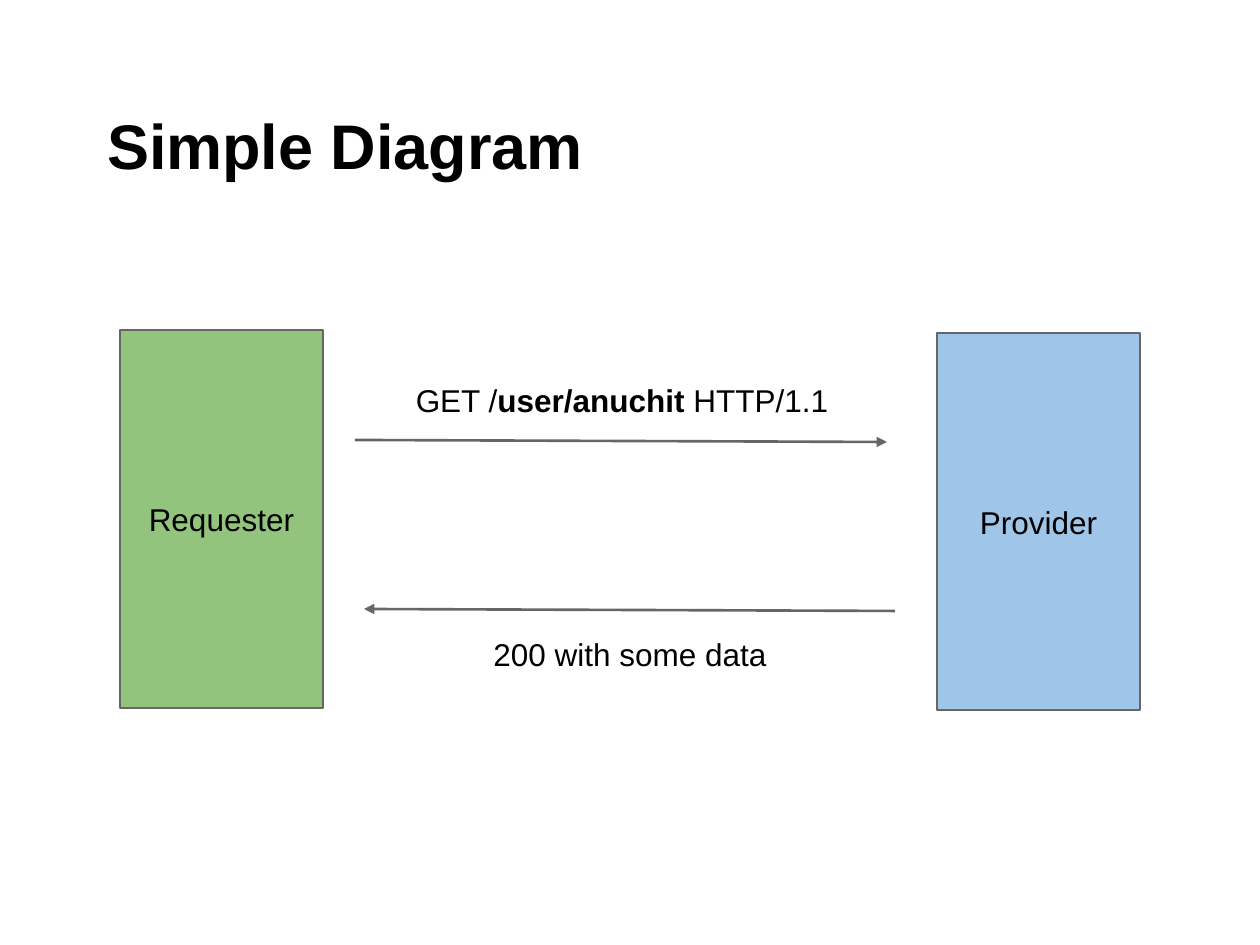
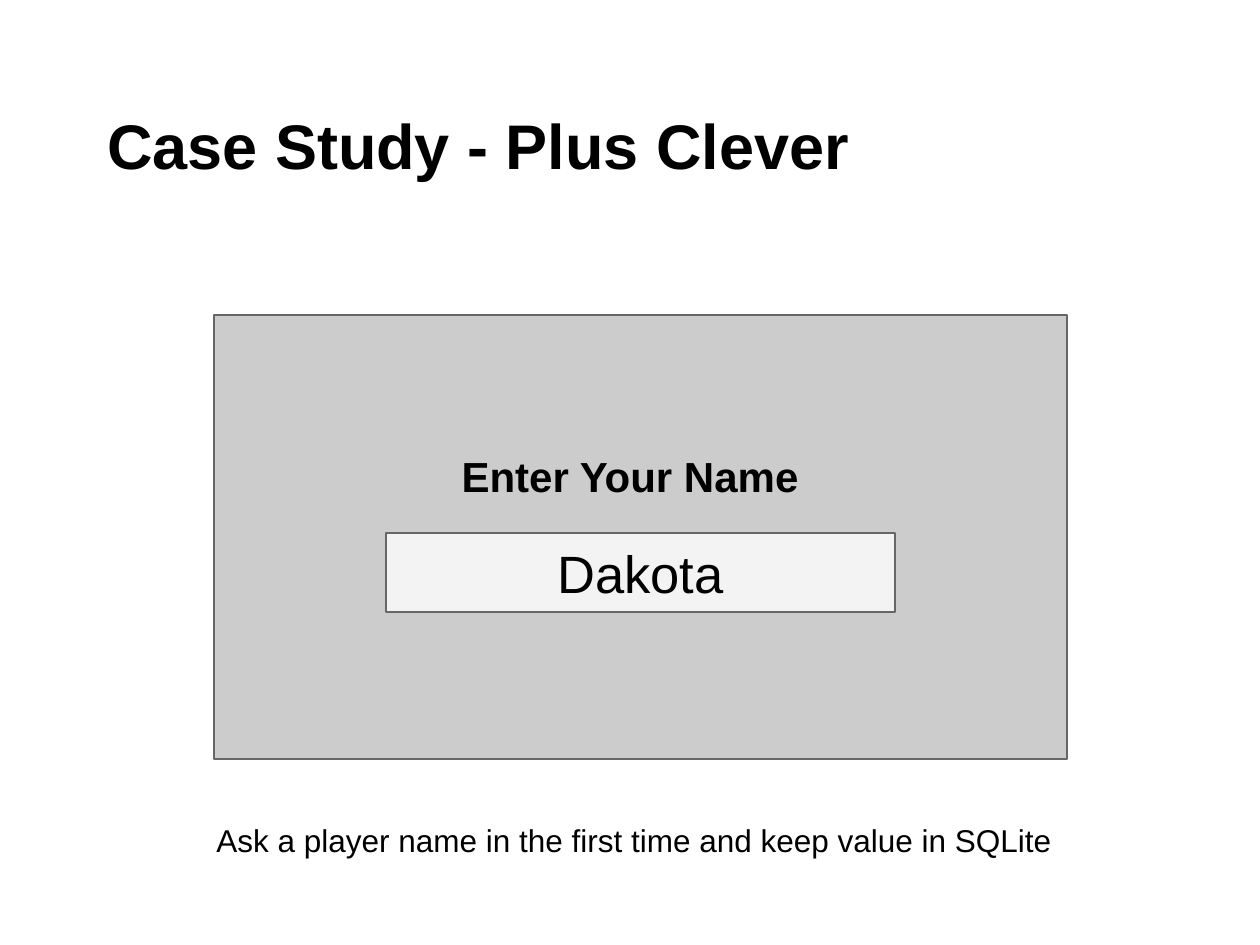
from dataclasses import dataclass
from lxml.etree import SubElement
from pptx import Presentation
from pptx.dml.color import RGBColor
from pptx.enum.shapes import MSO_CONNECTOR as Connector, MSO_SHAPE as Shape
from pptx.enum.text import MSO_ANCHOR as Anchor, MSO_AUTO_SIZE as AutoSize, PP_ALIGN as Align
from pptx.oxml.ns import qn
from pptx.util import Pt


@dataclass(frozen=True)
class Theme:
    font: str = "Arial"
    ink: str = "000000"
    outline: str = "666666"
    paper: str = "FFFFFF"
    requester: str = "93C47D"
    provider: str = "9FC5E8"
    screen: str = "CCCCCC"
    field: str = "F3F3F3"
    title_size: int = 36
    field_size: int = 30
    prompt_size: int = 24
    body_size: int = 18
    line_width: float = 1.5


THEME = Theme()
PX_PER_INCH = 126
PAGE_SIZE = (1260, 945)
TITLE_BOX = (63, 38, 1134, 157)
TITLE_INDENT = 31.5
INSET = 12.6

# Content: boxes are left, top, width, height; text is a list of (words, bold)
PAGES = [
    {
        "title": "Simple Diagram",
        "boxes": [
            ((120, 330, 203, 378), THEME.requester, "Requester", THEME.body_size),
            ((937, 333, 203, 377), THEME.provider, "Provider", THEME.body_size),
        ],
        "arrows": [((355, 440), (887, 442)), ((895, 611), (364, 609))],
        "labels": [
            ((362, 368, 520, 63),
             [("GET /", False), ("user/anuchit ", True), ("HTTP/1.1", False)],
             THEME.body_size),
            ((368, 622, 524, 63), [("200 with some data", False)], THEME.body_size),
        ],
    },
    {
        "title": "Case Study - Plus Clever",
        "boxes": [
            ((214, 315, 853, 444), THEME.screen, "", THEME.body_size),
            ((386, 533, 509, 79), THEME.field, "Dakota", THEME.field_size),
        ],
        "arrows": [],
        "labels": [
            ((378, 438, 504, 63), [("Enter Your Name", True)], THEME.prompt_size),
            ((52, 808, 1164, 63),
             [("Ask a player name in the first time and keep value in SQLite", False)],
             THEME.body_size),
        ],
    },
]


def px(length):
    return round(length * 914400 / PX_PER_INCH)


def place(box):
    return [px(length) for length in box]


def rgb(colour):
    return RGBColor.from_string(colour)


def write(shape, spans, size=THEME.body_size, align=Align.CENTER, anchor=Anchor.TOP):
    """Fill a shape with one paragraph of (words, bold) spans."""
    frame = shape.text_frame
    frame.word_wrap = True
    frame.auto_size = AutoSize.NONE
    frame.vertical_anchor = anchor
    frame.margin_left = frame.margin_right = px(INSET)
    frame.margin_top = frame.margin_bottom = px(INSET)
    para = frame.paragraphs[0]
    para.alignment = align
    for words, bold in spans:
        span = para.add_run()
        span.text = words
        span.font.name = THEME.font
        span.font.size = Pt(size)
        span.font.bold = bold
        span.font.color.rgb = rgb(THEME.ink)
    return para


def draw_outline(line):
    line.color.rgb = rgb(THEME.outline)
    line.width = Pt(THEME.line_width)


def add_title(page, words):
    title = page.shapes.title
    title.left, title.top, title.width, title.height = place(TITLE_BOX)
    para = write(title, [(words, True)], size=THEME.title_size,
                 align=Align.LEFT, anchor=Anchor.BOTTOM)
    properties = para._p.get_or_add_pPr()
    properties.set("marL", "0")
    properties.set("indent", str(px(TITLE_INDENT)))


def add_box(page, box, fill, words, size):
    shape = page.shapes.add_shape(Shape.RECTANGLE, *place(box))
    shape.shadow.inherit = False
    shape.fill.solid()
    shape.fill.fore_color.rgb = rgb(fill)
    draw_outline(shape.line)
    if words:
        write(shape, [(words, False)], size=size, anchor=Anchor.MIDDLE)


def add_arrow(page, start, end):
    arrow = page.shapes.add_connector(Connector.STRAIGHT, *place(start + end))
    draw_outline(arrow.line)
    SubElement(arrow.line._get_or_add_ln(), qn("a:tailEnd"), type="triangle")
    SubElement(arrow._element.spPr, qn("a:effectLst"))


def add_label(page, box, spans, size):
    write(page.shapes.add_textbox(*place(box)), spans, size=size)


def build_page(deck, content):
    page = deck.slides.add_slide(deck.slide_layouts[5])
    page.background.fill.solid()
    page.background.fill.fore_color.rgb = rgb(THEME.paper)
    add_title(page, content["title"])
    for box in content["boxes"]:
        add_box(page, *box)
    for arrow in content["arrows"]:
        add_arrow(page, *arrow)
    for label in content["labels"]:
        add_label(page, *label)


def main():
    deck = Presentation()
    deck.slide_width, deck.slide_height = place(PAGE_SIZE)
    for content in PAGES:
        build_page(deck, content)
    deck.save("out.pptx")


if __name__ == "__main__":
    main()
